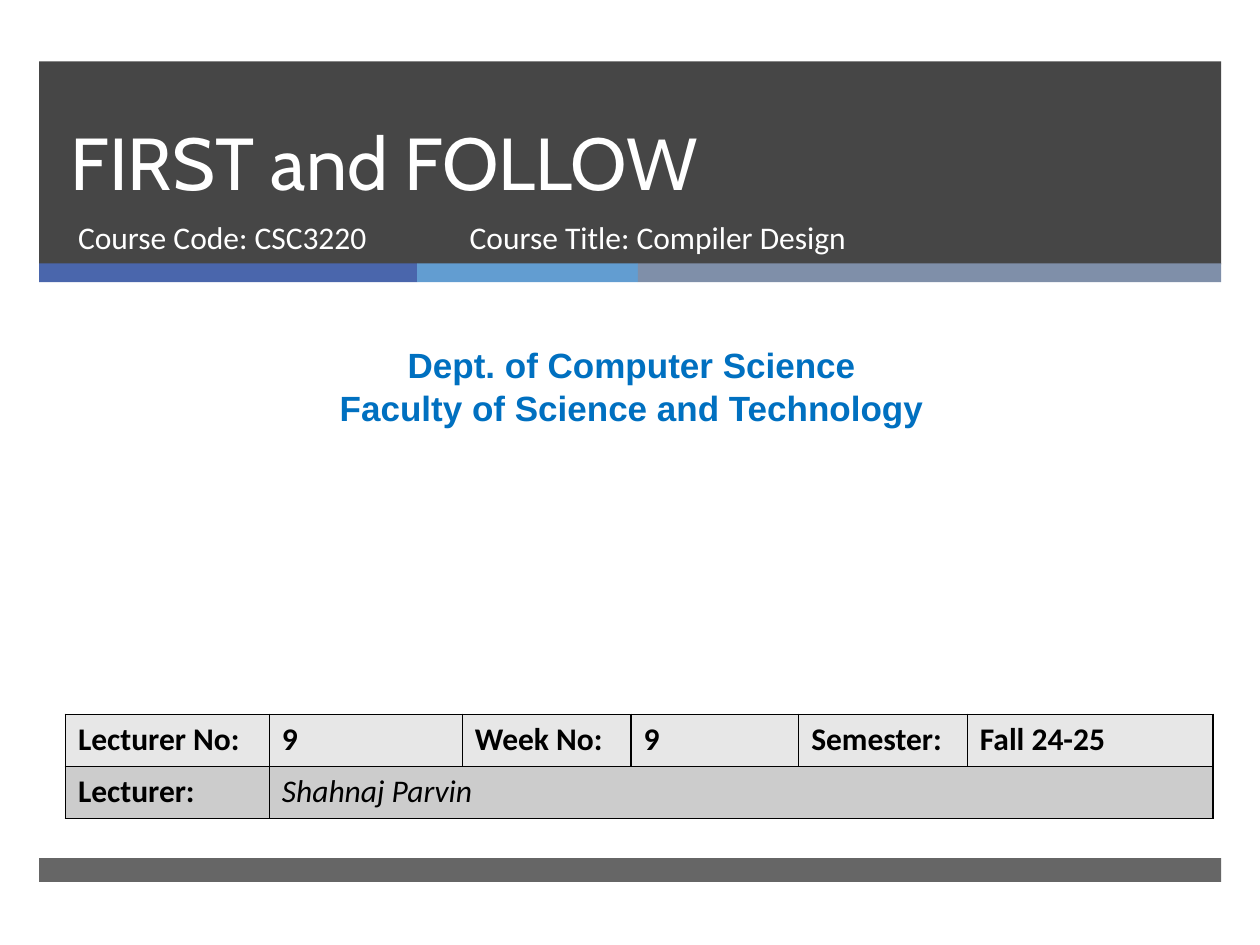
"""Build the opening slide of a compiler design lecture."""
import itertools
from dataclasses import dataclass

import pptx
import pptx.dml.color
import pptx.enum.shapes
import pptx.enum.text
import pptx.oxml.ns
import pptx.oxml.xmlchemy
import pptx.util

Cm = pptx.util.Cm
Pt = pptx.util.Pt
PP_ALIGN = pptx.enum.text.PP_ALIGN
MSO_ANCHOR = pptx.enum.text.MSO_ANCHOR


@dataclass(frozen=True)
class Theme:
    """Colours, fonts and type sizes of the slide."""
    dark: str = "262626"
    stripes: tuple = ("4A66AC", "629DD1", "7F8FA9")
    white: str = "FFFFFF"
    black: str = "000000"
    department: str = "0070C0"
    rows: tuple = ("E7E7E7", "CCCCCC")
    title_font: str = "Cabin"
    body_font: str = "Calibri"
    department_font: str = "Arial"
    title_size: int = 42
    department_size: int = 20
    body_size: int = 18


THEME = Theme()
BAND_LEFT, BAND_WIDTH = 0.79, 23.83
STRIPE_WIDTHS = (7.62, 4.45, 11.76)
COLUMN_WIDTHS = (4.11, 3.89, 3.4, 3.38, 3.4, 4.95)
ROW_HEIGHT = 1.05
LECTURE_ROWS = (
    ("Lecturer No:", "9", "Week No:", "9", "Semester:", "Fall 24-25"),
    ("Lecturer:", "Shahnaj Parvin"),
)


def rgb(colour):
    """Return a colour object for a hex string."""
    return pptx.dml.color.RGBColor.from_string(colour)


def make_element(tag, **attributes):
    """Create an XML element with attributes."""
    element = pptx.oxml.xmlchemy.OxmlElement(tag)
    for name, value in attributes.items():
        element.set(name, str(value))
    return element


def style_paragraph(paragraph, font, size, colour, bold=False, italic=False,
                    align=PP_ALIGN.LEFT):
    """Set the alignment and font of a paragraph."""
    paragraph.alignment = align
    paragraph.space_before = Pt(0)
    paragraph.font.name = font
    paragraph.font.size = Pt(size)
    paragraph.font.bold = bold
    paragraph.font.italic = italic
    paragraph.font.color.rgb = rgb(colour)


def add_bar(slide, left, top, width, height, colour, opacity=100):
    """Add a plain rectangle with an opacity in percent."""
    shape = slide.shapes.add_shape(
        pptx.enum.shapes.MSO_SHAPE.RECTANGLE,
        Cm(left), Cm(top), Cm(width), Cm(height))
    shape.shadow.inherit = False
    shape.line.fill.background()
    shape.fill.solid()
    shape.fill.fore_color.rgb = rgb(colour)
    if opacity < 100:
        fill_colour = shape.element.spPr.find(".//" + pptx.oxml.ns.qn("a:srgbClr"))
        fill_colour.append(make_element("a:alpha", val=opacity * 1000))


def add_bands(slide):
    """Add the header, the three stripes below it and the footer."""
    add_bar(slide, BAND_LEFT, 1.24, BAND_WIDTH, 4.09, THEME.dark, 85)
    offsets = itertools.accumulate(STRIPE_WIDTHS, initial=BAND_LEFT)
    for left, width, colour in zip(offsets, STRIPE_WIDTHS, THEME.stripes):
        add_bar(slide, left, 5.31, width, 0.38, colour)
    add_bar(slide, BAND_LEFT, 17.3, BAND_WIDTH, 0.48, THEME.dark, 70)


def fill_text(shape, text, anchor=MSO_ANCHOR.TOP, **style):
    """Write text into a shape and style every paragraph."""
    frame = shape.text_frame
    frame.text = text
    frame.word_wrap = True
    frame.auto_size = pptx.enum.text.MSO_AUTO_SIZE.NONE
    frame.vertical_anchor = anchor
    for paragraph in frame.paragraphs:
        style_paragraph(paragraph, **style)


def place_placeholder(placeholder, left, top, width, height):
    """Move a placeholder and bring it in front of the bands."""
    placeholder.left, placeholder.top = Cm(left), Cm(top)
    placeholder.width, placeholder.height = Cm(width), Cm(height)
    placeholder.element.getparent().append(placeholder.element)


def add_text(slide, left, top, width, height, text, **style):
    """Add a wrapped text box."""
    box = slide.shapes.add_textbox(Cm(left), Cm(top), Cm(width), Cm(height))
    fill_text(box, text, **style)


def set_borders(cell):
    """Draw a thin black line on all sides of a cell."""
    properties = cell._tc.get_or_add_tcPr()
    for index, side in enumerate(("a:lnL", "a:lnR", "a:lnT", "a:lnB")):
        line = make_element(side, w=Pt(1))
        fill = make_element("a:solidFill")
        fill.append(make_element("a:srgbClr", val=THEME.black))
        line.append(fill)
        properties.insert(index, line)


def add_lecture_table(slide, left, top):
    """Add the table of lecture details."""
    row_count, column_count = len(LECTURE_ROWS), len(COLUMN_WIDTHS)
    table = slide.shapes.add_table(
        row_count, column_count, Cm(left), Cm(top),
        Cm(sum(COLUMN_WIDTHS)), Cm(ROW_HEIGHT * row_count)).table
    for column, width in zip(table.columns, COLUMN_WIDTHS):
        column.width = Cm(width)
    for row_index, texts in enumerate(LECTURE_ROWS):
        table.rows[row_index].height = Cm(ROW_HEIGHT)
        for column_index in range(column_count):
            cell = table.cell(row_index, column_index)
            cell.fill.solid()
            cell.fill.fore_color.rgb = rgb(THEME.rows[row_index])
            set_borders(cell)
        for column_index, text in enumerate(texts):
            is_name = (row_index, column_index) == (1, 1)
            cell = table.cell(row_index, column_index)
            cell.text = text
            style_paragraph(cell.text_frame.paragraphs[0], THEME.body_font,
                            THEME.body_size, THEME.black,
                            bold=not is_name, italic=is_name)
    table.cell(1, 1).merge(table.cell(1, column_count - 1))


def main():
    """Build and save the slide."""
    presentation = pptx.Presentation()
    presentation.slide_width, presentation.slide_height = Cm(25.4), Cm(19.05)
    slide = presentation.slides.add_slide(presentation.slide_layouts[0])
    add_bands(slide)

    title, subtitle = slide.shapes.title, slide.placeholders[1]
    course_style = dict(font=THEME.body_font, size=THEME.body_size, colour=THEME.white)
    place_placeholder(title, 1.17, 1.24, 21.69, 3.02)
    fill_text(title, "FIRST and FOLLOW", anchor=MSO_ANCHOR.BOTTOM,
              font=THEME.title_font, size=THEME.title_size, colour=THEME.white)
    title.text_frame.paragraphs[0].line_spacing = Pt(46)
    place_placeholder(subtitle, 1.32, 4.27, 7.75, 1.35)
    fill_text(subtitle, "Course Code: CSC3220", **course_style)

    add_text(slide, 0.2, 6.81, 25.07, 1.96,
             "Dept. of Computer Science\nFaculty of Science and Technology",
             font=THEME.department_font, size=THEME.department_size,
             colour=THEME.department, bold=True, align=PP_ALIGN.CENTER)
    add_lecture_table(slide, 1.32, 14.4)
    add_text(slide, 9.22, 4.27, 11.56, 1.35,
             "Course Title: Compiler Design", **course_style)
    presentation.save("out.pptx")


if __name__ == "__main__":
    main()
